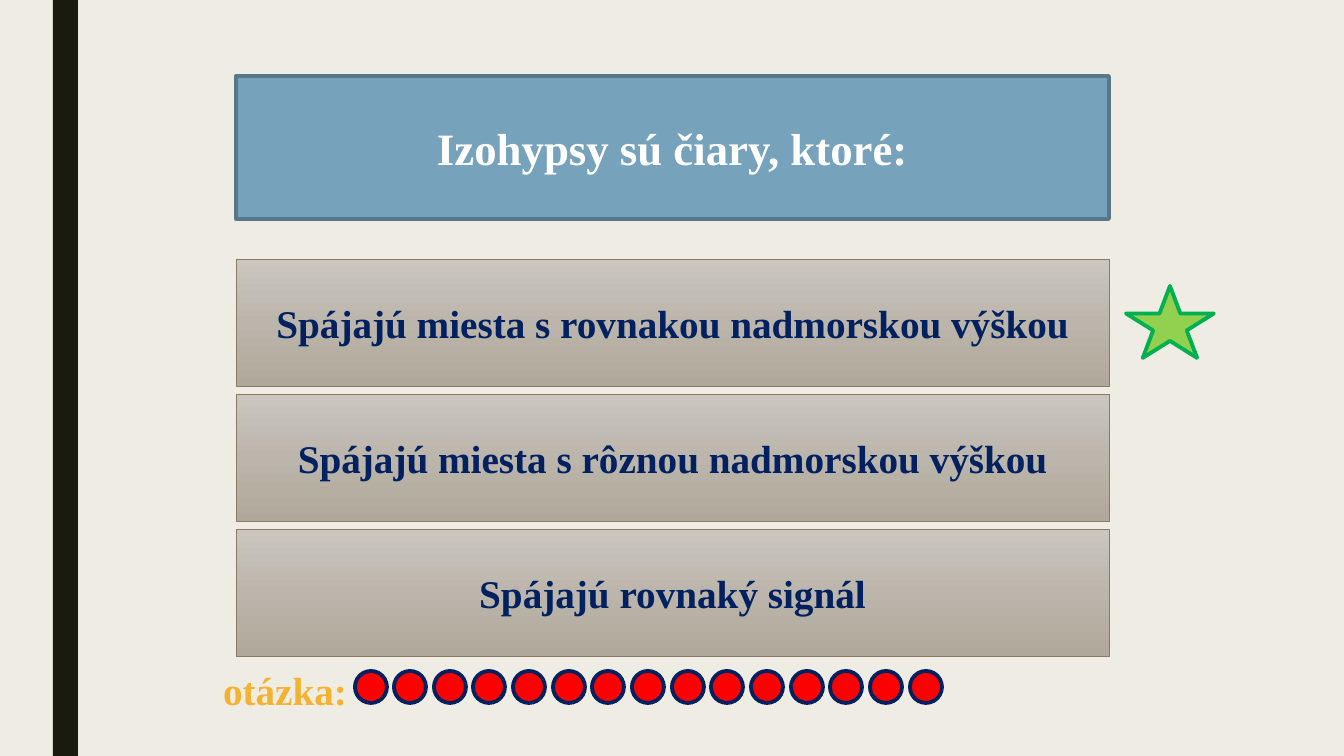
from copy import deepcopy
from pptx import Presentation
from pptx.dml.color import RGBColor
from pptx.enum.shapes import MSO_SHAPE
from pptx.enum.text import MSO_ANCHOR, MSO_AUTO_SIZE, PP_ALIGN
from pptx.oxml.ns import qn
from pptx.util import Pt

SCALE = 914400 / 100.8
COLORS = {
    "paper": "EFEDE3", "bar": "191B0E", "blue": "77A2BB", "rim": "58788A",
    "white": "FFFFFF", "navy": "002060", "brown": "897B61", "gold": "F3B330",
    "red": "FF0000", "lime": "92D050", "green": "00B050",
    "top": "CBC7BF", "mid": "BBB5AB", "low": "B0A89A",
}
RGB = {name: RGBColor.from_string(code) for name, code in COLORS.items()}


def add_form(kind, place, fill, line=None, width=2.75):
    form = slide.shapes.add_shape(kind, *[round(v * SCALE) for v in place])
    form.shadow.inherit = False
    form.fill.solid()
    form.fill.fore_color.rgb = RGB[fill]
    if line:
        form.line.color.rgb = RGB[line]
        form.line.width = Pt(width)
    else:
        form.line.fill.background()
    return form


def write(form, text, size, color):
    para = form.text_frame.paragraphs[0]
    para.alignment = PP_ALIGN.CENTER
    run = para.add_run()
    run.text = text
    style = {"name": "Times New Roman", "size": Pt(size), "bold": True}
    for key, value in style.items():
        setattr(run.font, key, value)
    run.font.color.rgb = RGB[color]


deck = Presentation()
deck.slide_width = round(1344 * SCALE)
deck.slide_height = round(756 * SCALE)
slide = deck.slides.add_slide(deck.slide_layouts[6])

# Background and side bar
slide.background.fill.solid()
slide.background.fill.fore_color.rgb = RGB["paper"]
add_form(MSO_SHAPE.RECTANGLE, (53, 0, 25, 756), "bar")

# Question
head = add_form(MSO_SHAPE.RECTANGLE, (236, 76, 873, 143), "blue", "rim")
head.text_frame.vertical_anchor = MSO_ANCHOR.MIDDLE
write(head, "Izohypsy sú čiary, ktoré:", 32, "white")

# Answers
answers = [
    "Spájajú miesta s rovnakou nadmorskou výškou",
    "Spájajú miesta s rôznou nadmorskou výškou",
    "Spájajú rovnaký signál",
]
for i, text in enumerate(answers):
    place = (236, 259 + 135 * i, 873, 127)
    box = add_form(MSO_SHAPE.RECTANGLE, place, "mid", "brown", 0.5)
    box.fill.gradient()
    box.fill.gradient_angle = 270
    first = box._element.spPr.find(".//" + qn("a:gs"))
    first.addnext(deepcopy(first))
    tones = zip(box.fill.gradient_stops, (0, 0.5, 1), ("top", "mid", "low"))
    for stop, spot, tone in tones:
        stop.position = spot
        stop.color.rgb = RGB[tone]
    box.text_frame.vertical_anchor = MSO_ANCHOR.MIDDLE
    write(box, text, 28, "navy")

# Question counter
label = slide.shapes.add_textbox(*[round(v * SCALE) for v in (212, 661, 146, 57)])
layout = {"word_wrap": False, "auto_size": MSO_AUTO_SIZE.SHAPE_TO_FIT_TEXT}
for key, value in layout.items():
    setattr(label.text_frame, key, value)
write(label, "otázka:", 28, "gold")
for i in range(15):
    add_form(MSO_SHAPE.OVAL, (355 + 555 * i // 14, 671, 32, 32), "red", "navy")

# Star beside the right answer
add_form(MSO_SHAPE.STAR_5_POINT, (1126, 286, 88, 72), "lime", "green")

deck.save("out.pptx")
